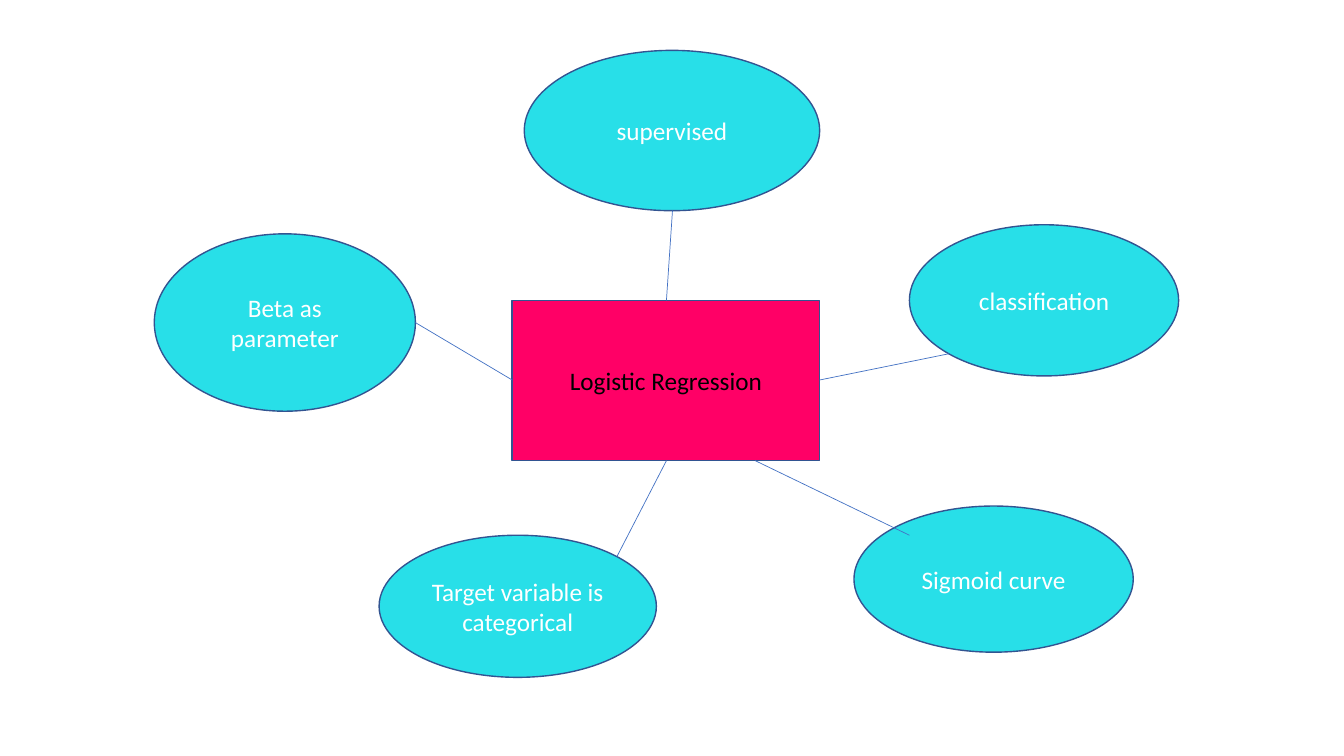
from dataclasses import dataclass

from lxml.etree import SubElement
from pptx import Presentation
from pptx.dml.color import RGBColor
from pptx.enum.shapes import MSO_CONNECTOR, MSO_SHAPE as Preset
from pptx.enum.text import MSO_ANCHOR, PP_ALIGN
from pptx.oxml.ns import qn
from pptx.slide import Slide
from pptx.util import Inches, Pt

PINK = RGBColor(0xFF, 0x00, 0x66)
CYAN = RGBColor(0x28, 0xDF, 0xE8)
OUTLINE = RGBColor(0x32, 0x54, 0x91)
LINK_BLUE = RGBColor(0x44, 0x72, 0xC4)
BLACK = RGBColor(0x00, 0x00, 0x00)
WHITE = RGBColor(0xFF, 0xFF, 0xFF)

FONT_FORMAT = {"name": "Calibri", "size": Pt(18)}


@dataclass
class Topic:
    label: str
    left: float
    top: float
    width: float
    height: float
    preset: Preset = Preset.OVAL
    fill: RGBColor = CYAN
    ink: RGBColor = WHITE


@dataclass
class Link:
    start: tuple[float, float]
    end: tuple[float, float]


# Central subject and the traits around it
TOPICS = [
    Topic("Logistic Regression", 5.08, 2.98, 3.05, 1.59, Preset.RECTANGLE, PINK, BLACK),
    Topic("supervised", 5.2, 0.5, 2.93, 1.59),
    Topic("classification", 9.02, 2.23, 2.67, 1.5),
    Topic("Sigmoid curve", 8.47, 5.02, 2.77, 1.45),
    Topic("Target variable is categorical", 3.76, 5.31, 2.75, 1.41),
    Topic("Beta as parameter", 1.53, 2.32, 2.59, 1.76),
]

LINKS = [
    Link((6.67, 2.09), (6.61, 2.98)),
    Link((4.12, 3.2), (5.08, 3.77)),
    Link((6.12, 5.52), (6.61, 4.57)),
    Link((7.49, 4.57), (9.02, 5.31)),
    Link((8.13, 3.77), (9.41, 3.51)),
]


def draw_topic(slide: Slide, topic: Topic) -> None:
    bubble = slide.shapes.add_shape(
        topic.preset, Inches(topic.left), Inches(topic.top),
        Inches(topic.width), Inches(topic.height))
    bubble.shadow.inherit = False
    bubble.fill.solid()
    bubble.fill.fore_color.rgb = topic.fill
    bubble.line.color.rgb = OUTLINE
    bubble.line.width = Pt(1)

    frame = bubble.text_frame
    frame.word_wrap = True
    frame.vertical_anchor = MSO_ANCHOR.MIDDLE
    label = frame.paragraphs[0]
    label.alignment = PP_ALIGN.CENTER
    run = label.add_run()
    run.text = topic.label
    for attribute, value in FONT_FORMAT.items():
        setattr(run.font, attribute, value)
    run.font.color.rgb = topic.ink


def draw_link(slide: Slide, link: Link) -> None:
    ends = [Inches(value) for value in (*link.start, *link.end)]
    connector = slide.shapes.add_connector(MSO_CONNECTOR.STRAIGHT, *ends)
    connector.line.color.rgb = LINK_BLUE
    connector.line.width = Pt(0.5)
    # An empty effect list removes the theme shadow
    SubElement(connector.element.spPr, qn("a:effectLst"))


def main() -> None:
    deck = Presentation()
    deck.slide_width = Inches(13.33)
    deck.slide_height = Inches(7.5)
    slide = deck.slides.add_slide(deck.slide_layouts[6])

    for topic in TOPICS:
        draw_topic(slide, topic)
    for link in LINKS:
        draw_link(slide, link)

    deck.save("out.pptx")


if __name__ == "__main__":
    main()
